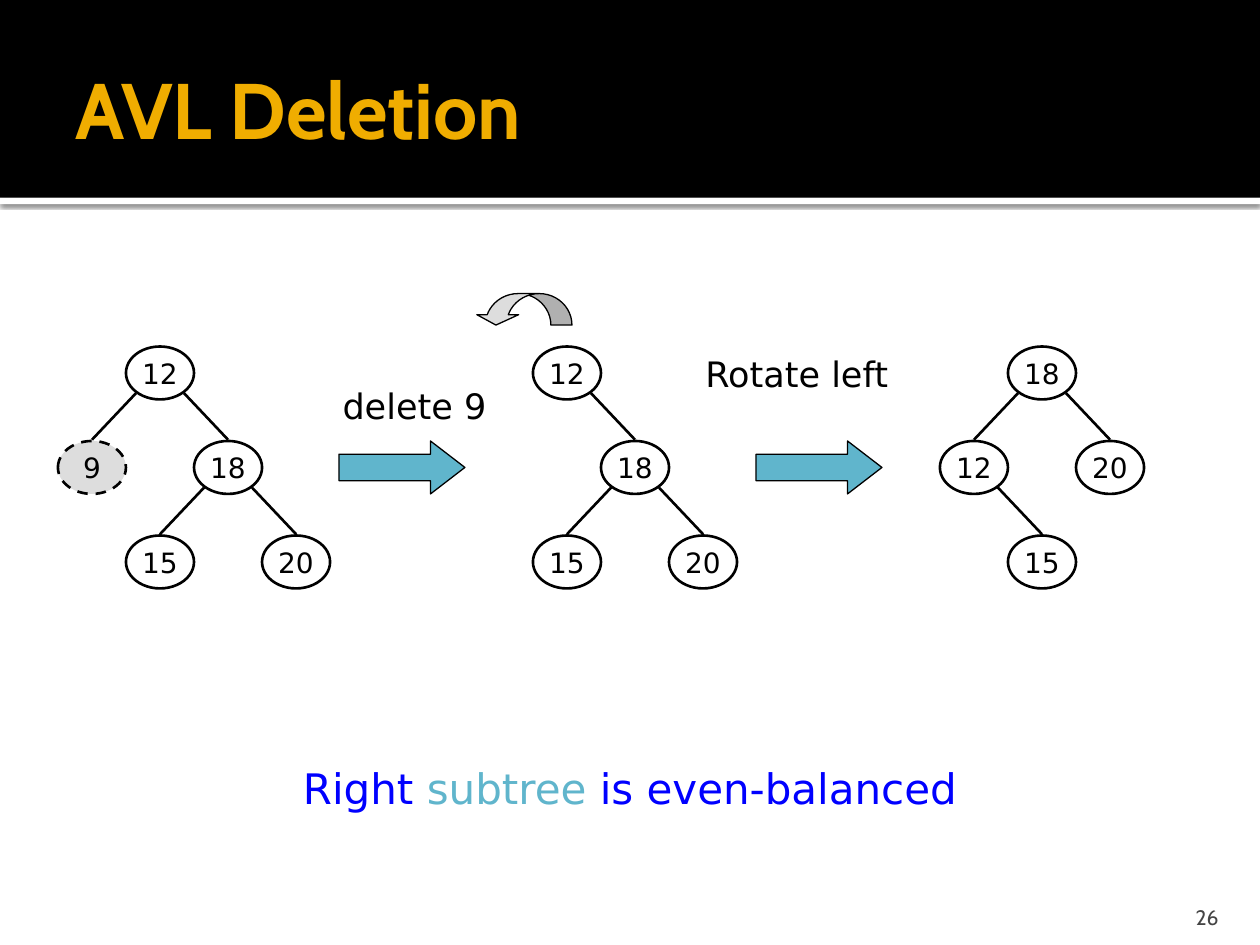
"""Build the AVL Deletion slide with its three trees."""
from lxml.etree import SubElement
from pptx import Presentation
from pptx.dml.color import RGBColor
from pptx.enum.dml import MSO_LINE
from pptx.enum.shapes import MSO_CONNECTOR, MSO_SHAPE
from pptx.enum.text import MSO_ANCHOR, PP_ALIGN
from pptx.oxml.ns import qn
from pptx.util import Inches, Pt

BLACK = RGBColor(0x00, 0x00, 0x00)
WHITE = RGBColor(0xFF, 0xFF, 0xFF)
GOLD = RGBColor(0xF0, 0xAD, 0x00)
TEAL = RGBColor(0x60, 0xB5, 0xCC)
BLUE = RGBColor(0x00, 0x00, 0xFF)
PALE = RGBColor(0xDD, 0xDD, 0xDD)
GREY = RGBColor(0x45, 0x45, 0x45)

deck = Presentation()
deck.slide_width, deck.slide_height = Inches(10), Inches(7.5)
slide = deck.slides.add_slide(deck.slide_layouts[6])
parts = slide.shapes
COL, ROW = deck.slide_width / 100, deck.slide_height / 75


def write(box, *runs, size=16, font="DejaVu Sans", bold=False, wrap=True,
          align=PP_ALIGN.LEFT, anchor=MSO_ANCHOR.TOP):
    frame = box.text_frame
    frame.word_wrap, frame.vertical_anchor = wrap, anchor
    line = frame.paragraphs[0]
    line.alignment = align
    for text, color in runs:
        run = line.add_run()
        run.text = text
        run.font.size, run.font.name, run.font.bold = Pt(size), font, bold
        run.font.color.rgb = color
    return frame


def draw(kind, x, y, wide, high, fill=None, width=0):
    shape = parts.add_shape(kind, *map(int, (x * COL, y * ROW, wide * COL, high * ROW)))
    shape.shadow.inherit = False
    if fill is None:
        shape.fill.background()
    else:
        shape.fill.solid()
        shape.fill.fore_color.rgb = fill
    if width:
        shape.line.color.rgb, shape.line.width = BLACK, Pt(width)
    else:
        shape.line.fill.background()
    return shape


strip = draw(MSO_SHAPE.RECTANGLE, 0, 15.7, 100, 0.5, WHITE)
glow = SubElement(strip.element.spPr.find(qn("a:effectLst")), qn("a:outerShdw"),
                  blurRad=str(Pt(2.5)), dist=str(Pt(0.8)), dir="5400000",
                  algn="t", rotWithShape="0")
tint = SubElement(glow, qn("a:srgbClr"), val=str(BLACK))
SubElement(tint, qn("a:alpha"), val="60000")
draw(MSO_SHAPE.RECTANGLE, 0, 0, 100, 15.7, BLACK)

LABELS = [
    (5, 1.7, 90, 13.7, [("AVL Deletion", GOLD)],
     dict(size=45, font="Cabin", bold=True, anchor=MSO_ANCHOR.MIDDLE)),
    (26.2, 30, 15.5, 4.4, [("delete 9", BLACK)], dict(size=20)),
    (55, 27.5, 17.5, 4.4, [("Rotate left", BLACK)], dict(size=20)),
    (0, 60, 100, 5.1, [("Right ", BLUE), ("subtree", TEAL), (" is even-balanced", BLUE)],
     dict(size=24, align=PP_ALIGN.CENTER)),
    (89.7, 70.8, 8, 3, [("26", GREY)],
     dict(size=12, font="Cabin", align=PP_ALIGN.RIGHT, anchor=MSO_ANCHOR.BOTTOM)),
]
for x, y, wide, high, runs, style in LABELS:
    box = parts.add_textbox(*map(int, (x * COL, y * ROW, wide * COL, high * ROW)))
    frame = write(box, *runs, **style)
    if style["size"] == 45:
        frame.margin_right = Inches(0.05)
    if style["size"] == 12:
        frame.margin_bottom = 0

NODE, TALL, STEP, TOP = 5.4, 4.2, 7.5, 27.5
FULL = [("12", 0, 0, 0), ("18", 1, 1, 1), ("15", 0, 2, -1), ("20", 2, 2, 1)]
TREES = [
    (10, FULL + [("9", -1, 1, -1)]),
    (42.3, FULL),
    (80, [("18", 0, 0, 0), ("12", -1, 1, -1), ("20", 1, 1, 1), ("15", 0, 2, 1)]),
]
for left, nodes in TREES:
    for text, place, level, side in nodes:
        x, y = left + place * NODE, TOP + level * STEP
        gone = text == "9"
        node = draw(MSO_SHAPE.OVAL, x, y, NODE, TALL, PALE if gone else None, 1.5)
        if gone:
            node.line.dash_style = MSO_LINE.DASH
        write(node, (text, BLACK), wrap=False, align=PP_ALIGN.CENTER,
              anchor=MSO_ANCHOR.MIDDLE)
        if side:
            mid = x + NODE / 2
            edge = parts.add_connector(MSO_CONNECTOR.STRAIGHT, *map(int, (
                (mid - side * 3.5) * COL, (y - 3.8) * ROW, mid * COL, (y - 0.1) * ROW)))
            edge.line.color.rgb, edge.line.width = BLACK, Pt(1.5)
            SubElement(edge.element.spPr, qn("a:effectLst"))

for x in (26.9, 60):
    arrow = draw(MSO_SHAPE.RIGHT_ARROW, x, TOP + STEP, 10, TALL, TEAL, 0.75)
    arrow.adjustments[1] = 0.65

turn = draw(MSO_SHAPE.CURVED_DOWN_ARROW, 37.7, 23.3, 7.7, 2.5, PALE, 0.75)
for spot, share in enumerate((0.67, 1.33, 0.33)):
    turn.adjustments[spot] = share
turn.element.spPr.find(qn("a:xfrm")).set("flipH", "1")

deck.save("out.pptx")
